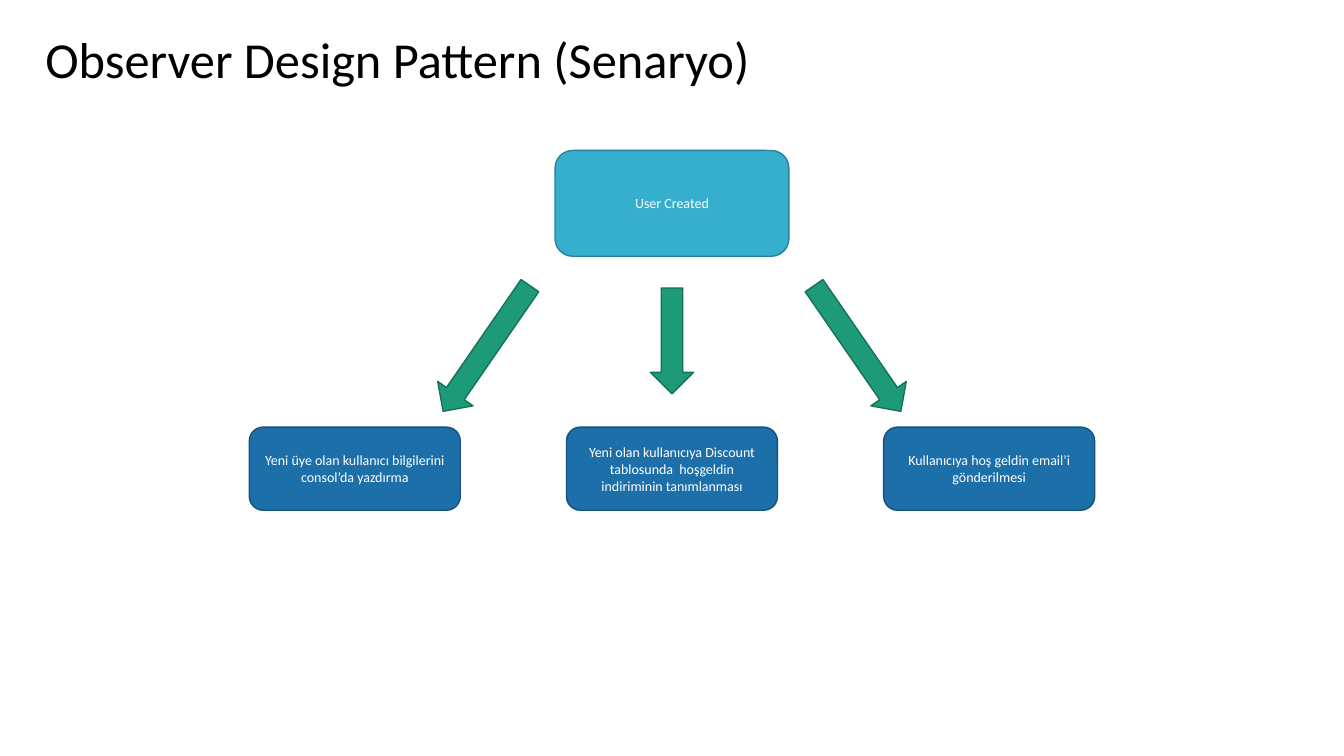
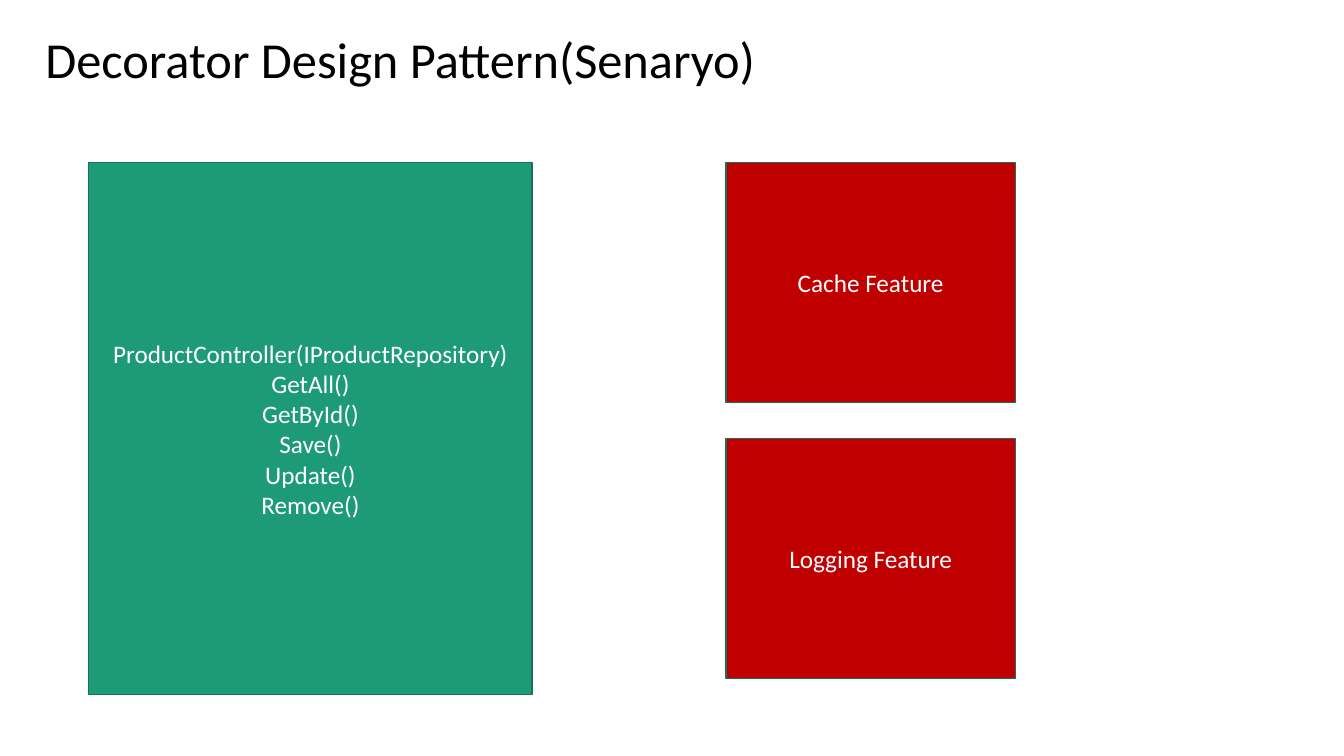
from dataclasses import dataclass

from pptx import Presentation
from pptx.dml.color import RGBColor
from pptx.enum.shapes import MSO_SHAPE
from pptx.enum.text import MSO_ANCHOR, MSO_AUTO_SIZE, PP_ALIGN
from pptx.util import Inches, Pt

RECT = MSO_SHAPE.RECTANGLE
ROUND = MSO_SHAPE.ROUNDED_RECTANGLE
ARROW = MSO_SHAPE.DOWN_ARROW
LEFT, CENTER = PP_ALIGN.LEFT, PP_ALIGN.CENTER
MIDDLE, BOTTOM = MSO_ANCHOR.MIDDLE, MSO_ANCHOR.BOTTOM
FIXED = MSO_AUTO_SIZE.NONE
TITLE_ONLY = 5


@dataclass(frozen=True)
class Theme:
    """Colours as fill and line pairs, type sizes, and slide size."""
    wide: float = 13.33
    high: float = 7.5
    font: str = "Calibri"
    ink: str = "000000"
    pale: str = "FFFFFF"
    sky: tuple = ("36AFCE", "288198")
    blue: tuple = ("1D6FA9", "15527D")
    green: tuple = ("1D9A78", "157259")
    red: tuple = ("C00000", "157259")
    head: int = 36
    text: int = 18
    small: int = 10
    line: int = 1


THEME = Theme()


def apply(item, values):
    """Set each named attribute of an item."""
    for name, value in values.items():
        setattr(item, name, value)


def area(left, top, width, height):
    """Turn percentages of the slide into lengths."""
    across, down = THEME.wide / 100, THEME.high / 100
    return {"left": Inches(left * across), "top": Inches(top * down),
            "width": Inches(width * across), "height": Inches(height * down)}


def write(shape, lines, size, color, align, anchor, **extra):
    """Fill a shape with formatted paragraphs."""
    frame = shape.text_frame
    frame.text = "\n".join(lines)
    apply(frame, {"word_wrap": True, "auto_size": FIXED,
                  "vertical_anchor": anchor})
    for para in frame.paragraphs:
        apply(para, {"alignment": align, **extra})
        apply(para.font, {"name": THEME.font, "size": Pt(size)})
        para.font.color.rgb = RGBColor.from_string(color)


def add_page(deck, title, width):
    """Add a slide with its title."""
    slide = deck.slides.add_slide(deck.slide_layouts[TITLE_ONLY])
    head = slide.shapes.title
    apply(head, area(2.63, 4.53, width, 8))
    write(head, [title], THEME.head, THEME.ink, LEFT, BOTTOM,
          line_spacing=0.9)
    return slide


def add_form(slide, kind, mid, top, width, height, paint, turn=0):
    """Add a painted shape centred across on mid."""
    place = area(mid - width / 2, top, width, height)
    shape = slide.shapes.add_shape(kind, **place)
    apply(shape, {"rotation": turn})
    shape.shadow.inherit = False
    fill, line = map(RGBColor.from_string, paint)
    shape.fill.solid()
    shape.fill.fore_color.rgb = fill
    shape.line.color.rgb = line
    shape.line.width = Pt(THEME.line)
    return shape


def add_card(slide, kind, mid, top, width, height, paint, lines, size):
    """Add a painted shape with centred text."""
    card = add_form(slide, kind, mid, top, width, height, paint)
    write(card, lines, size, THEME.pale, CENTER, MIDDLE)


def add_watch(deck):
    """Build the observer slide: one event, three listeners."""
    slide = add_page(deck, "Observer Design Pattern (Senaryo)", 59)
    add_card(slide, ROUND, 50, 19.9, 17.4, 14, THEME.sky,
             ["User Created"], THEME.small)
    tasks = ["Yeni üye olan kullanıcı bilgilerini consol’da yazdırma",
             "Yeni olan kullanıcıya Discount tablosunda  hoşgeldin "
             "indiriminin tanımlanması",
             "Kullanıcıya hoş geldin email’i gönderilmesi"]
    for side, task in enumerate(tasks, -1):
        add_card(slide, ROUND, 50 + side * 23.6, 56.5, 15.7, 11,
                 THEME.blue, [task], THEME.small)
        top, height = (36, 20.2) if side else (38.1, 14)
        add_form(slide, ARROW, 50 + side * 13.8, top, 3.2, height,
                 THEME.green, -side * 34.6)


def add_wrap(deck):
    """Build the decorator slide: a controller and its features."""
    slide = add_page(deck, "Decorator Design Pattern(Senaryo)", 83.1)
    top = 21.5
    calls = ["ProductController(IProductRepository)", "GetAll()",
             "GetById()", "Save()", "Update()", "Remove()"]
    add_card(slide, RECT, 23.1, top, 33, 70.4, THEME.green, calls,
             THEME.text)
    for row, name in enumerate(["Cache Feature", "Logging Feature"]):
        add_card(slide, RECT, 64.78, top + row * 36.53, 21.53, 31.73,
                 THEME.red, [name], THEME.text)


def main():
    """Build and save the deck."""
    deck = Presentation()
    apply(deck, {"slide_width": Inches(THEME.wide),
                 "slide_height": Inches(THEME.high)})
    add_watch(deck)
    add_wrap(deck)
    deck.save("out.pptx")


if __name__ == "__main__":
    main()
